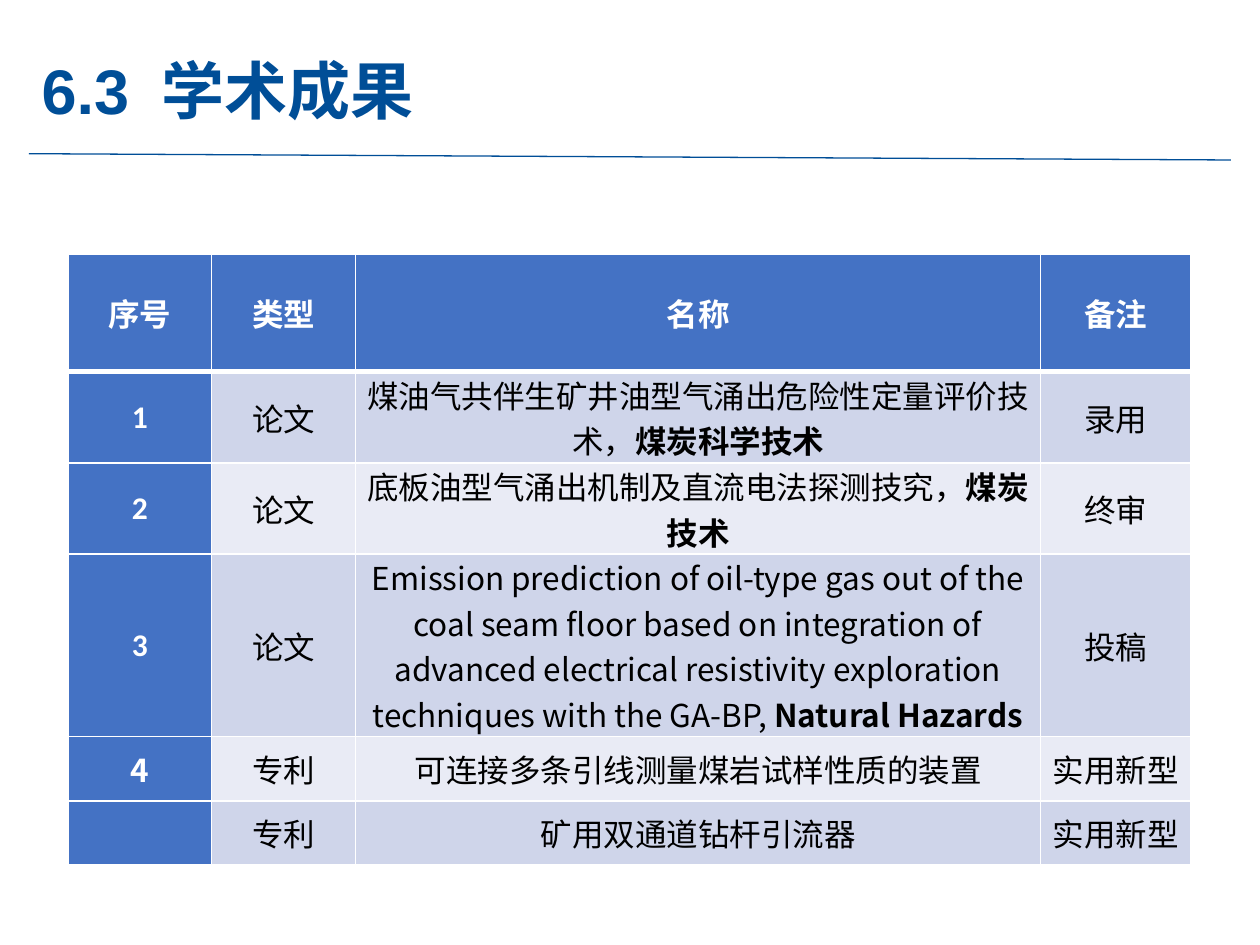
import lxml.etree
import pptx
import pptx.dml.color
import pptx.enum.shapes
import pptx.enum.text
import pptx.oxml.ns
import pptx.util

Inches = pptx.util.Inches
qn = pptx.oxml.ns.qn
CJK = "Noto Sans CJK SC"
NAVY, BLUE, WHITE, BLACK = "004E97", "4472C4", "FFFFFF", "000000"
BANDS = ("CFD5EA", "E9EBF5")
HEADINGS = ("序号", "类型", "名称", "备注")
RESULTS = (
    ("1", "论文", "煤油气共伴生矿井油型气涌出危险性定量评价技术，", "煤炭科学技术", "录用"),
    ("2", "论文", "底板油型气涌出机制及直流电法探测技究，", "煤炭技术", "终审"),
    ("3", "论文", "Emission prediction of oil-type gas out of the coal seam floor based on "
     "integration of advanced electrical resistivity exploration techniques with the GA-BP, ",
     "Natural Hazards", "投稿"),
    ("4", "专利", "可连接多条引线测量煤岩试样性质的装置", "", "实用新型"),
    ("", "专利", "矿用双通道钻杆引流器", "", "实用新型"),
)


def color(value):
    """Return the colour for a hex string."""
    return pptx.dml.color.RGBColor.from_string(value)


def add_text(paragraph, text, size=18, font=CJK, fill=BLACK, bold=False):
    """Add one formatted run to a paragraph."""
    run = paragraph.add_run()
    run.text = text
    run.font.size = pptx.util.Pt(size)
    run.font.name = font
    run.font.bold = bold
    run.font.color.rgb = color(fill)
    east_asian = lxml.etree.SubElement(run.font._element, qn("a:ea"))
    east_asian.set("typeface", CJK)


def add_title(slide, left, top, width, height):
    """Place the heading and the rule below it."""
    title = slide.shapes.title
    title.left, title.top = Inches(left), Inches(top)
    title.width, title.height = Inches(width), Inches(height)
    frame = title.text_frame
    frame.auto_size = pptx.enum.text.MSO_AUTO_SIZE.NONE
    frame.vertical_anchor = pptx.enum.text.MSO_ANCHOR.MIDDLE
    paragraph = frame.paragraphs[0]
    paragraph.alignment = pptx.enum.text.PP_ALIGN.LEFT
    tabs = lxml.etree.SubElement(paragraph._p.get_or_add_pPr(), qn("a:tabLst"))
    tab = lxml.etree.SubElement(tabs, qn("a:tab"))
    tab.set("pos", str(Inches(0.95)))
    tab.set("algn", "l")
    add_text(paragraph, "6.3\t学术成果", size=36, font="Arial", fill=NAVY, bold=True)

    rule = slide.shapes.add_connector(
        pptx.enum.shapes.MSO_CONNECTOR.STRAIGHT,
        Inches(left), Inches(top + 0.86), Inches(left + 9.54), Inches(top + 0.91))
    rule.line.color.rgb = color(NAVY)
    rule.line.width = pptx.util.Pt(0.75)
    lxml.etree.SubElement(rule._element.spPr, qn("a:effectLst"))


def set_borders(cell, **widths):
    """Draw white cell borders of the given widths in points."""
    properties = cell._tc.get_or_add_tcPr()
    for side in "LRTB":
        line = lxml.etree.SubElement(properties, qn("a:ln" + side))
        line.set("w", str(pptx.util.Pt(widths.get(side, 1))))
        fill = lxml.etree.SubElement(line, qn("a:solidFill"))
        lxml.etree.SubElement(fill, qn("a:srgbClr")).set("val", WHITE)


def format_cell(cell, fill, **borders):
    """Format a cell and return its paragraph."""
    set_borders(cell, **borders)
    cell.fill.solid()
    cell.fill.fore_color.rgb = color(fill)
    cell.vertical_anchor = pptx.enum.text.MSO_ANCHOR.MIDDLE
    cell.margin_left = cell.margin_right = Inches(0.04)
    cell.margin_top = cell.margin_bottom = 0
    paragraph = cell.text_frame.paragraphs[0]
    paragraph.alignment = pptx.enum.text.PP_ALIGN.CENTER
    return paragraph


def add_results_table(slide, left, top, width, height):
    """Place the table of papers and patents."""
    table = slide.shapes.add_table(
        len(RESULTS) + 1, len(HEADINGS),
        Inches(left), Inches(top), Inches(width), Inches(height)).table
    for column, column_width in zip(table.columns, (1.14, 1.14, 5.44, 1.19)):
        column.width = Inches(column_width)
    for index, row in enumerate(table.rows):
        row.height = Inches(0.51 if index else 0.93)

    for index, heading in enumerate(HEADINGS):
        paragraph = format_cell(table.cell(0, index), BLUE, B=3)
        add_text(paragraph, heading, fill=WHITE, bold=True)

    for row, (number, kind, name, journal, remark) in enumerate(RESULTS, 1):
        band = BANDS[(row - 1) % 2]
        borders = {"T": 3} if row == 1 else {}
        paragraphs = [format_cell(table.cell(row, index), band if index else BLUE, **borders)
                      for index in range(len(HEADINGS))]
        if number:
            font = CJK if number == "4" else "Calibri"
            add_text(paragraphs[0], number, font=font, fill=WHITE, bold=True)
        for paragraph, text in zip(paragraphs[1:], (kind, name, remark)):
            add_text(paragraph, text)
        if journal:
            add_text(paragraphs[2], journal, bold=True)


def main():
    """Build and save the presentation."""
    presentation = pptx.Presentation()
    presentation.slide_width, presentation.slide_height = Inches(10), Inches(7.5)
    slide = presentation.slides.add_slide(presentation.slide_layouts[5])
    add_title(slide, 0.23, 0.36, 5.74, 0.7)
    add_results_table(slide, 0.54, 2.02, 8.91, 3.48)
    presentation.save("out.pptx")


if __name__ == "__main__":
    main()
